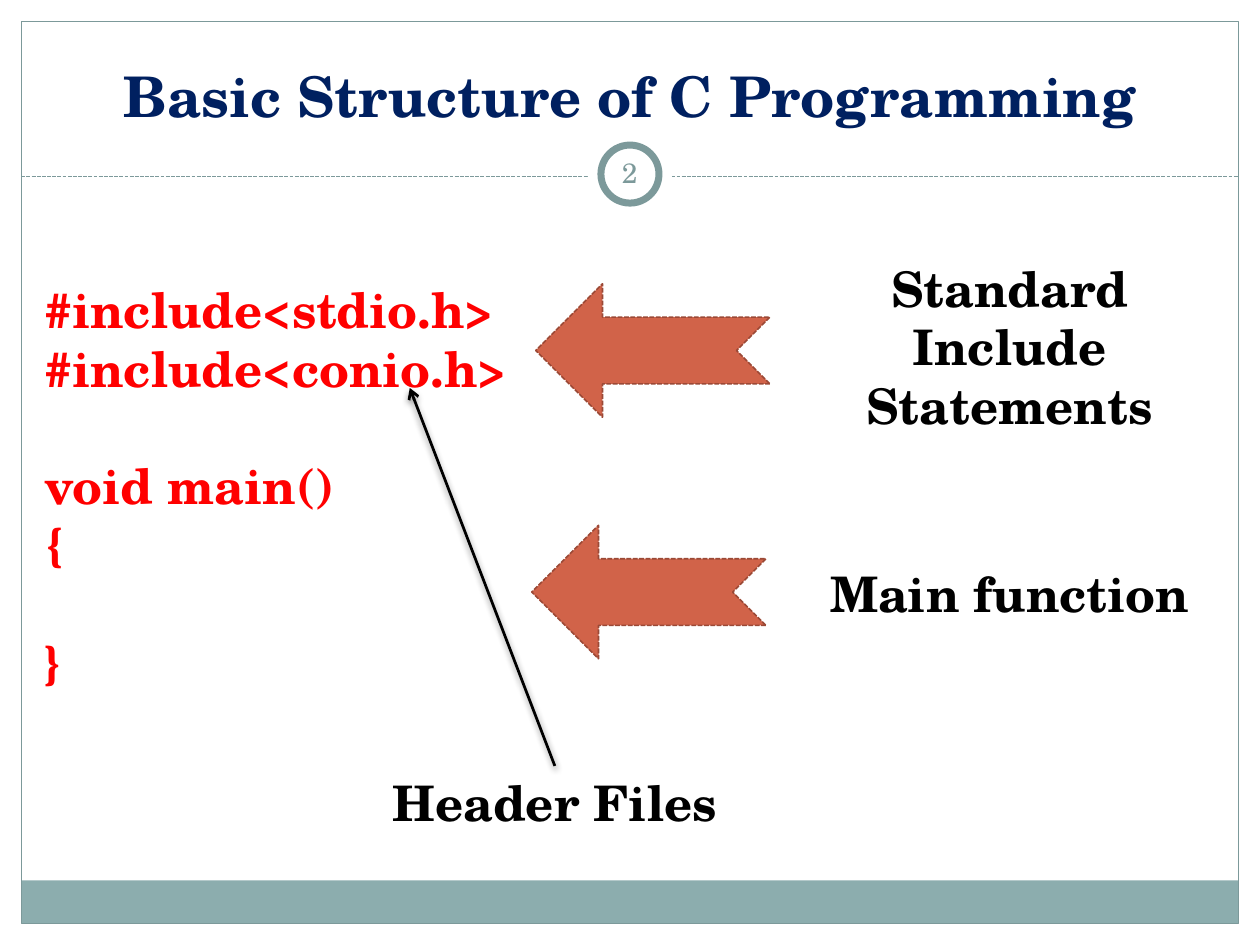
import pptx
import pptx.util
import pptx.dml.color
import pptx.enum.dml
import pptx.enum.shapes
import pptx.enum.text
import pptx.oxml
import pptx.oxml.ns
from dataclasses import dataclass

Cm, Pt = pptx.util.Cm, pptx.util.Pt
KIND = pptx.enum.shapes.MSO_SHAPE
ALIGN = pptx.enum.text.PP_ALIGN
MID = pptx.enum.text.MSO_ANCHOR.MIDDLE


@dataclass(frozen=True)
class Theme:
    font: str = "TeX Gyre Schola"
    white: str = "FFFFFF"
    black: str = "000000"
    navy: str = "002060"
    red: str = "FF0000"
    band: str = "8CADAE"
    rule: str = "7C999A"
    arrow: str = "D16349"
    edge: str = "9B4936"
    title: int = 32
    body: int = 28
    number: int = 16
    gap: float = 33.6  # one line of body text


THEME = Theme()
WIDTH, HEIGHT = 25.4, 19.05
MARGIN, RULE_Y = 0.43, 3.56
BADGE = (WIDTH / 2, 3.51)

TITLE = "Basic Structure of C Programming"
NUMBER = "2"
# Each group of code lines stands one line below the group before it
CODE = [
    ["#include<stdio.h>", "#include<conio.h>"],
    ["void main()", "{"],
    ["}"],
]
LABELS = [  # text, left, top, height
    ("Standard Include Statements", 15.72, 5.08, 3.84),
    ("Main function", 15.72, 11.23, 1.45),
    ("Header Files", 6.55, 15.44, 1.45),
]
LABEL_W = 9.27
ARROWS = [(10.8, 5.72), (10.72, 10.59)]
ARROW_SIZE = (4.72, 2.69)
TARGET = (8.26, 7.82)


def color(name):
    return pptx.dml.color.RGBColor.from_string(name)


def stroke(line, name, width, dash=False):
    line.color.rgb = color(name)
    line.width = Pt(width)
    if dash:
        line.dash_style = pptx.enum.dml.MSO_LINE.SQUARE_DOT


def effect(link, inner=""):
    """Set the connector's own effects; none when inner is empty."""
    space = pptx.oxml.ns.nsdecls("a")
    link._element.spPr.append(
        pptx.oxml.parse_xml(f"<a:effectLst {space}>{inner}</a:effectLst>"))


def draw(slide, kind, box, fill=None, line=None, width=0.75, dash=False):
    shape = slide.shapes.add_shape(kind, *map(Cm, box))
    shape.shadow.inherit = False
    if fill:
        shape.fill.solid()
        shape.fill.fore_color.rgb = color(fill)
    else:
        shape.fill.background()
    if line:
        stroke(shape.line, line, width, dash)
    else:
        shape.line.fill.background()
    return shape


def disc(slide, size, **style):
    """Draw a circle of the given diameter centred on the badge."""
    x, y = BADGE
    draw(slide, KIND.OVAL, (x - size / 2, y - size / 2, size, size),
         fill=THEME.white, **style)


def write(slide, text, box, size, name, bold=True, align=ALIGN.CENTER):
    area = slide.shapes.add_textbox(*map(Cm, box))
    frame = area.text_frame
    frame.word_wrap = True
    frame.text = text
    for para in frame.paragraphs:
        para.alignment = align
        for run in para.runs:
            run.font.name = THEME.font
            run.font.size = Pt(size)
            run.font.bold = bold
            run.font.color.rgb = color(name)
    return area


def rule(slide, start, end):
    return slide.shapes.add_connector(
        pptx.enum.shapes.MSO_CONNECTOR.STRAIGHT, *map(Cm, start + end))


def layout(slide):
    inner = WIDTH - 2 * MARGIN
    draw(slide, KIND.RECTANGLE, (MARGIN, 17.75, inner, 0.86), THEME.band)
    draw(slide, KIND.RECTANGLE, (MARGIN, MARGIN, inner, HEIGHT - 2 * MARGIN),
         line=THEME.rule)
    line = rule(slide, (MARGIN, RULE_Y), (WIDTH - MARGIN, RULE_Y))
    stroke(line.line, THEME.rule, 0.75, dash=True)
    effect(line)
    disc(slide, 1.7)
    disc(slide, 1.17, line=THEME.rule, width=4)

    head = write(slide, TITLE, (0, MARGIN, WIDTH, 2.97),
                 THEME.title, THEME.navy)
    head.text_frame.vertical_anchor = MID
    page = write(slide, NUMBER, (12.06, 2.87, 1.27, 1.22),
                 THEME.number, THEME.rule, bold=False)
    frame = page.text_frame
    frame.vertical_anchor = MID
    frame.margin_left = frame.margin_right = Cm(0.13)
    frame.margin_top = frame.margin_bottom = Cm(0.13)


def code(slide):
    text = "\n".join(line for group in CODE for line in group)
    area = write(slide, text, (0.64, 5.51, 15.54, 8.64),
                 THEME.body, THEME.red, align=ALIGN.LEFT)
    first = 0
    for group in CODE:
        if first:
            area.text_frame.paragraphs[first].space_before = Pt(THEME.gap)
        first += len(group)


def notes(slide):
    for spot in ARROWS:
        arrow = draw(slide, KIND.NOTCHED_RIGHT_ARROW, spot + ARROW_SIZE,
                     THEME.arrow, THEME.edge, 0.9, dash=True)
        arrow.rotation = 180
    for text, left, top, high in LABELS:
        label = write(slide, text, (left, top, LABEL_W, high),
                      THEME.body, THEME.black)

    # The last label, for the header files, points up into the code
    link = rule(slide, TARGET, TARGET)
    link.begin_connect(label, 0)
    stroke(link.line, THEME.black, 1.57)
    link.line._get_or_add_ln().append(pptx.oxml.parse_xml(
        f'<a:tailEnd {pptx.oxml.ns.nsdecls("a")} type="arrow"/>'))
    effect(link, f'<a:outerShdw blurRad="{Pt(4)}" dist="{Pt(2)}" '
                 f'dir="5400000" rotWithShape="0">'
                 f'<a:srgbClr val="{THEME.black}"><a:alpha val="45000"/>'
                 f'</a:srgbClr></a:outerShdw>')


def main():
    deck = pptx.Presentation()
    deck.slide_width, deck.slide_height = Cm(WIDTH), Cm(HEIGHT)
    slide = deck.slides.add_slide(deck.slide_layouts[6])
    layout(slide)
    code(slide)
    notes(slide)
    deck.save("out.pptx")


if __name__ == "__main__":
    main()
